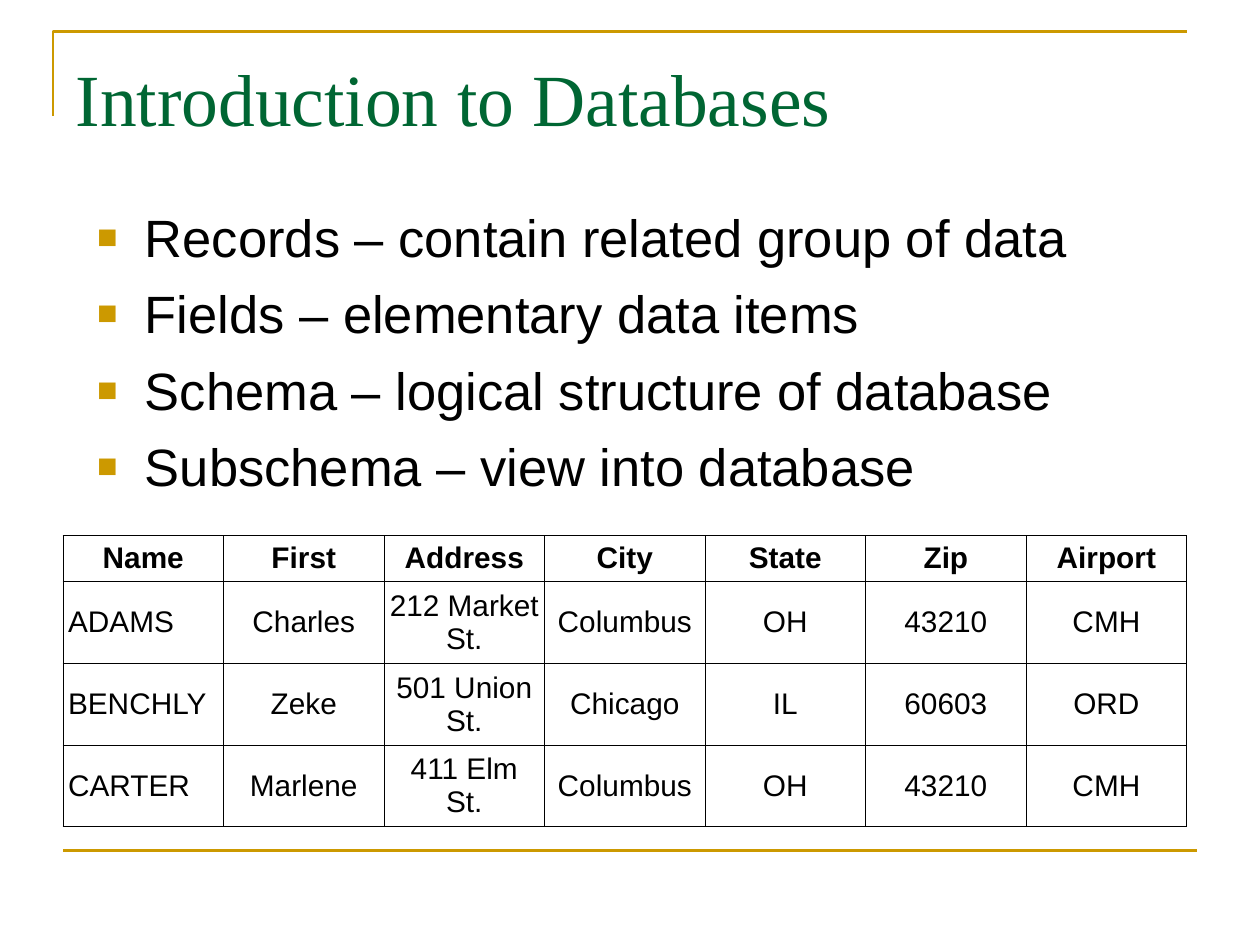
import pptx
import pptx.enum.shapes
import pptx.enum.text
import pptx.oxml
import pptx.oxml.ns
import pptx.util
from pptx.util import Inches

COLORS = {"gold": "CC9900", "green": "006633", "black": "000000", "white": "FFFFFF"}
ALIGN = pptx.enum.text.PP_ALIGN
ANCHOR = pptx.enum.text.MSO_ANCHOR

TOPICS = [
    "Records – contain related group of data",
    "Fields – elementary data items",
    "Schema – logical structure of database",
    "Subschema – view into database",
]
RECORDS = [
    ["Name", "First", "Address", "City", "State", "Zip", "Airport"],
    ["ADAMS", "Charles", "212 Market St.", "Columbus", "OH", "43210", "CMH"],
    ["BENCHLY", "Zeke", "501 Union St.", "Chicago", "IL", "60603", "ORD"],
    ["CARTER", "Marlene", "411 Elm St.", "Columbus", "OH", "43210", "CMH"],
]
ROW_HEIGHTS = [0.36, 0.65, 0.65, 0.64]


def color(name):
    return pptx.dml.color.RGBColor.from_string(COLORS[name])


def add_xml(parent, xml):
    namespace = pptx.oxml.ns.nsdecls("a")
    parent.append(pptx.oxml.parse_xml(xml.replace(">", f" {namespace}>", 1)))


def write(paragraph, text, size=17, font="Arial", ink="black", bold=False,
          align=ALIGN.LEFT, before=0):
    paragraph.alignment = align
    paragraph.space_before = pptx.util.Pt(before)
    run = paragraph.add_run()
    run.text = text
    run.font.size = pptx.util.Pt(size)
    run.font.name = font
    run.font.bold = bold
    run.font.color.rgb = color(ink)


class Deck:
    def __init__(self):
        self.presentation = pptx.Presentation()
        self.presentation.slide_width = Inches(10)
        self.presentation.slide_height = Inches(7.5)
        self.slide = self.presentation.slides.add_slide(self.presentation.slide_layouts[1])
        self.slide.background.fill.solid()
        self.slide.background.fill.fore_color.rgb = color("white")

    def place(self, holder, left, top, width, height, inset_top):
        holder.left, holder.top = Inches(left), Inches(top)
        holder.width, holder.height = Inches(width), Inches(height)
        frame = holder.text_frame
        frame.word_wrap = True
        frame.auto_size = pptx.enum.text.MSO_AUTO_SIZE.NONE
        frame.vertical_anchor = ANCHOR.TOP
        frame.margin_top = Inches(inset_top)
        return frame

    def title(self, text):
        frame = self.place(self.slide.shapes.title, 0.5, 0.3, 9, 1.25, 0.12)
        write(frame.paragraphs[0], text, size=42, font="Times New Roman", ink="green")

    def bullets(self, items):
        frame = self.place(self.slide.placeholders[1], 0.67, 1.58, 8.67, 5.5, 0.05)
        for index, item in enumerate(items):
            paragraph = frame.paragraphs[0] if index == 0 else frame.add_paragraph()
            write(paragraph, item, size=30, before=7.5)
            properties = paragraph._p.get_or_add_pPr()
            properties.set("marL", str(Inches(0.38)))
            properties.set("indent", str(Inches(-0.38)))
            add_xml(properties, f'<a:buClr><a:srgbClr val="{COLORS["gold"]}"/></a:buClr>')
            add_xml(properties, '<a:buSzPct val="65000"></a:buSzPct>')
            add_xml(properties, '<a:buFont typeface="Arial"></a:buFont>')
            add_xml(properties, '<a:buChar char="■"></a:buChar>')

    def rule_line(self, shape):
        shape.line.color.rgb = color("gold")
        shape.line.width = pptx.util.Pt(1.5)

    def corner(self, left, top, right, bottom):
        builder = self.slide.shapes.build_freeform(Inches(left), Inches(bottom))
        builder.add_line_segments(
            [(Inches(left), Inches(top)), (Inches(right), Inches(top))], close=False)
        bracket = builder.convert_to_shape()
        bracket.shadow.inherit = False
        bracket.fill.background()
        self.rule_line(bracket)

    def rule(self, left, right, y):
        footer_rule = self.slide.shapes.add_connector(
            pptx.enum.shapes.MSO_CONNECTOR.STRAIGHT,
            Inches(left), Inches(y), Inches(right), Inches(y))
        self.rule_line(footer_rule)
        add_xml(footer_rule._element.spPr, "<a:effectLst></a:effectLst>")

    def border(self, cell):
        properties = cell._tc.get_or_add_tcPr()
        for position, side in enumerate(("lnL", "lnR", "lnT", "lnB")):
            add_xml(properties,
                    f'<a:{side} w="{pptx.util.Pt(0.45)}"><a:solidFill>'
                    f'<a:srgbClr val="{COLORS["black"]}"/></a:solidFill></a:{side}>')
            properties.insert(position, properties[-1])

    def table(self, rows, left, top, width, heights):
        grid = self.slide.shapes.add_table(
            len(rows), len(rows[0]), Inches(left), Inches(top),
            Inches(width), Inches(sum(heights))).table
        grid.first_row = grid.horz_banding = False
        for row, height in zip(grid.rows, heights):
            row.height = Inches(height)
        for r, values in enumerate(rows):
            for c, value in enumerate(values):
                cell = grid.cell(r, c)
                cell.fill.background()
                cell.vertical_anchor = ANCHOR.MIDDLE
                cell.margin_left = cell.margin_right = Inches(0.04)
                cell.margin_top = cell.margin_bottom = Inches(0.05)
                is_surname = r > 0 and c == 0
                write(cell.text_frame.paragraphs[0], value, bold=r == 0,
                      align=ALIGN.LEFT if is_surname else ALIGN.CENTER)
                self.border(cell)


def main():
    deck = Deck()
    deck.corner(0.42, 0.25, 9.42, 0.92)
    deck.rule(0.5, 9.5, 6.75)
    deck.title("Introduction to Databases")
    deck.bullets(TOPICS)
    deck.table(RECORDS, 0.5, 4.25, 8.92, ROW_HEIGHTS)
    deck.presentation.save("out.pptx")


if __name__ == "__main__":
    main()
